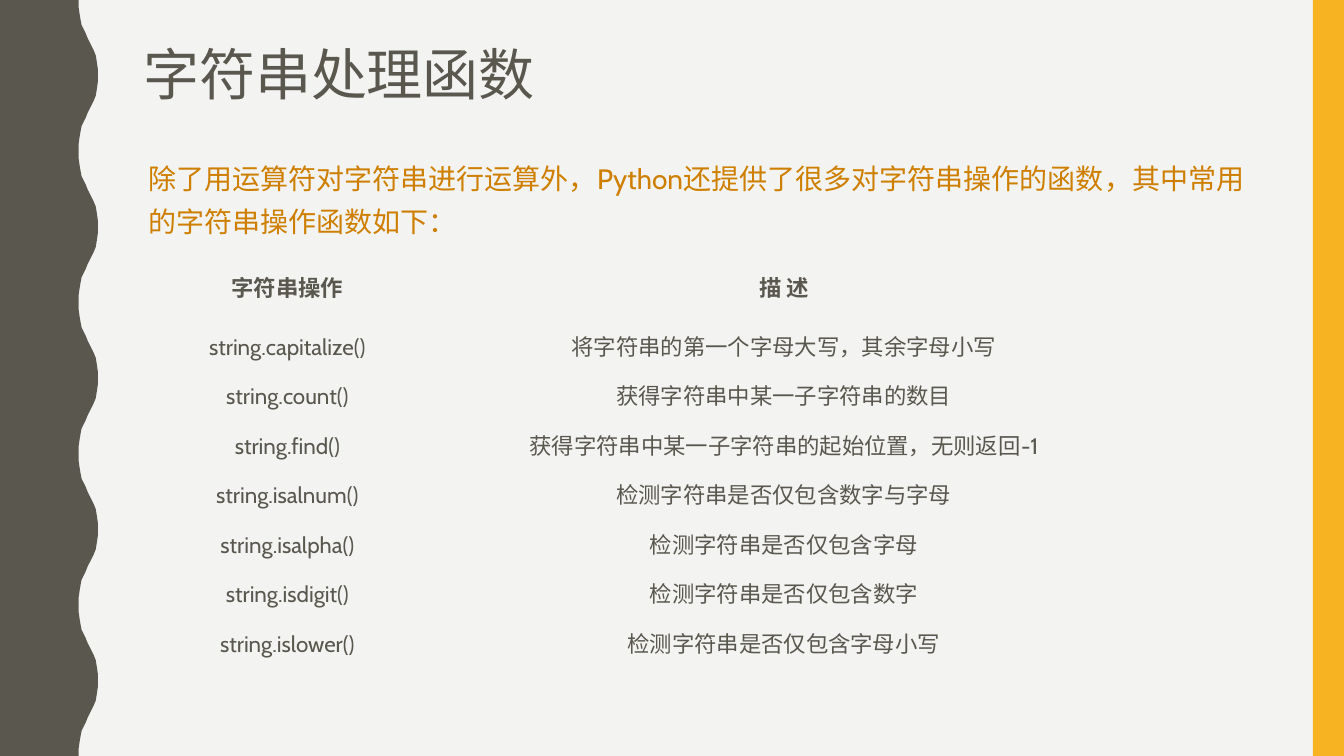
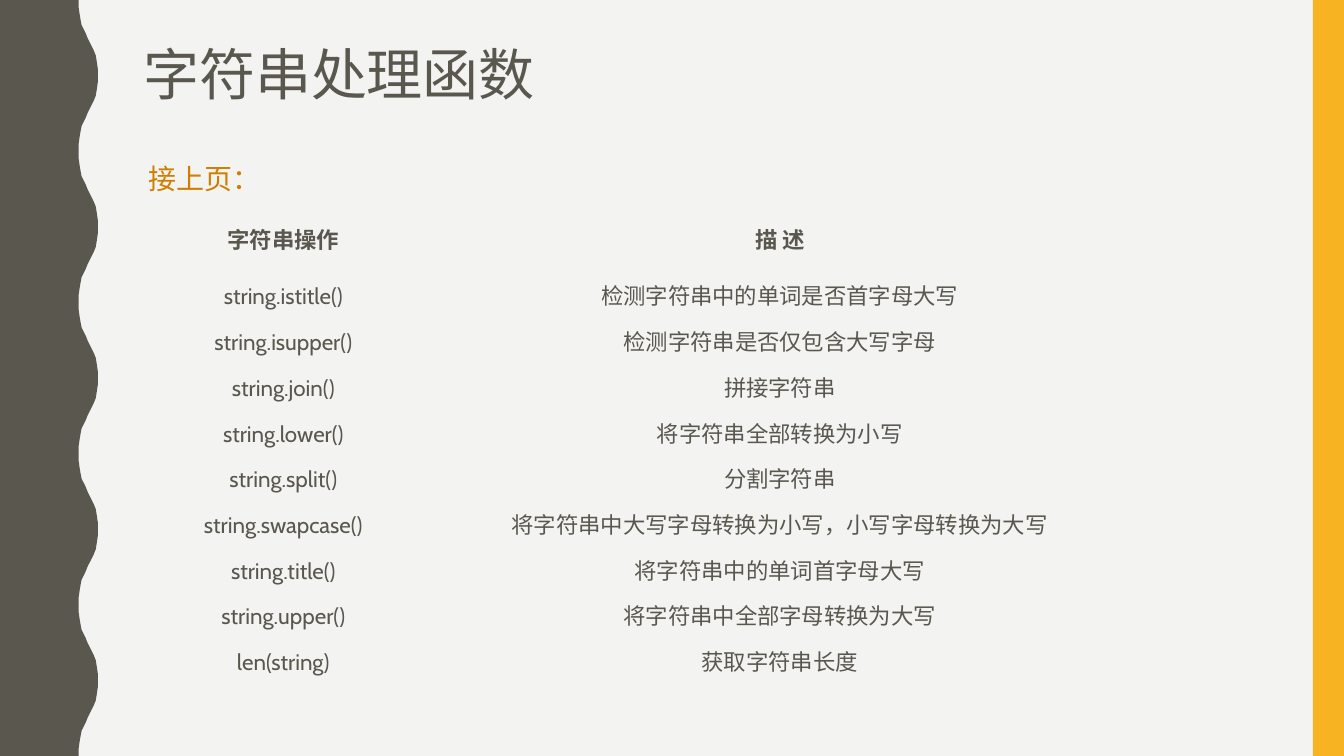
from lxml import etree
from pptx import Presentation
from pptx.dml.color import RGBColor
from pptx.enum.shapes import MSO_SHAPE
from pptx.enum.text import MSO_ANCHOR, MSO_AUTO_SIZE, PP_ALIGN
from pptx.oxml.ns import qn
from pptx.util import Inches, Pt

RECTANGLE = MSO_SHAPE.RECTANGLE
TOP, MIDDLE = MSO_ANCHOR.TOP, MSO_ANCHOR.MIDDLE
LEFT, CENTER = PP_ALIGN.LEFT, PP_ALIGN.CENTER
NO_AUTOFIT = MSO_AUTO_SIZE.NONE

COLORS = {
    "background": "F3F3F2",
    "dark": "59574E",
    "gold": "F8B323",
    "intro": "CE7F00",
}
NO_GRID_STYLE = "{2D5ABB26-0587-4C30-8999-92F81FD0307C}"

# Text formats: colour, font values and paragraph values
TITLE = {
    "color": "dark",
    "font": {"size": Pt(40), "bold": False, "name": "Noto Sans CJK SC"},
    "paragraph": {"alignment": LEFT, "line_spacing": 0.9},
}
INTRO = {
    "color": "intro",
    "font": {"size": Pt(20), "bold": False, "name": "Cabin"},
    "paragraph": {"alignment": LEFT, "line_spacing": 1.3, "space_before": Pt(7)},
}
CELL = {
    "color": "dark",
    "font": {"size": Pt(16), "bold": False, "name": "Cabin"},
    "paragraph": {"alignment": CENTER},
}
HEADING = {**CELL, "font": {**CELL["font"], "bold": True}}
CELL_LAYOUT = {
    "vertical_anchor": MIDDLE,
    "margin_left": Inches(0.05),
    "margin_right": Inches(0.05),
    "margin_top": Inches(0.02),
    "margin_bottom": Inches(0.02),
}

# Content
HEADINGS = ("字符串操作", "描 述")
COLUMN_WIDTHS = (2.52, 7.33)
PAGES = [
    {
        "intro": "除了用运算符对字符串进行运算外，Python还提供了很多对字符串操作的函数，其中常用的字符串操作函数如下：",
        "left": 1.59, "top": 2.53, "height": 4.11, "heading_height": 0.67,
        "functions": [
            ("string.capitalize()", "将字符串的第一个字母大写，其余字母小写"),
            ("string.count()", "获得字符串中某一子字符串的数目"),
            ("string.find()", "获得字符串中某一子字符串的起始位置，无则返回-1"),
            ("string.isalnum()", "检测字符串是否仅包含数字与字母"),
            ("string.isalpha()", "检测字符串是否仅包含字母"),
            ("string.isdigit()", "检测字符串是否仅包含数字"),
            ("string.islower()", "检测字符串是否仅包含字母小写"),
        ],
    },
    {
        "intro": "接上页：",
        "left": 1.55, "top": 2.06, "height": 4.74, "heading_height": 0.66,
        "functions": [
            ("string.istitle()", "检测字符串中的单词是否首字母大写"),
            ("string.isupper()", "检测字符串是否仅包含大写字母"),
            ("string.join()", "拼接字符串"),
            ("string.lower()", "将字符串全部转换为小写"),
            ("string.split()", "分割字符串"),
            ("string.swapcase()", "将字符串中大写字母转换为小写，小写字母转换为大写"),
            ("string.title()", "将字符串中的单词首字母大写"),
            ("string.upper()", "将字符串中全部字母转换为大写"),
            ("len(string)", "获取字符串长度"),
        ],
    },
]

# Left band: half a wave, mirrored and repeated down the slide
WAVE_LENGTH, WAVE_COUNT = 1.5, 5
HALF_WAVE = [
    (0.78, 0), (0.78, 0.07), (0.79, 0.14), (0.8, 0.2), (0.81, 0.25),
    (0.83, 0.29), (0.85, 0.33), (0.87, 0.38), (0.89, 0.42), (0.91, 0.46),
    (0.93, 0.5), (0.95, 0.55), (0.96, 0.61), (0.97, 0.68), (0.97, 0.75),
]
WAVE = HALF_WAVE + [(x, WAVE_LENGTH - y) for x, y in HALF_WAVE[-2::-1]]


def write(frame, text, style):
    paragraph = frame.paragraphs[0]
    for name, value in style["paragraph"].items():
        setattr(paragraph, name, value)
    run = paragraph.add_run()
    run.text = text
    run.font.color.rgb = RGBColor.from_string(COLORS[style["color"]])
    for name, value in style["font"].items():
        setattr(run.font, name, value)
    # East Asian text uses the same font
    east_asian = etree.SubElement(run.font._element, qn("a:ea"))
    east_asian.set("typeface", style["font"]["name"])
    return paragraph


def paint(shape, color):
    shape.shadow.inherit = False
    shape.fill.solid()
    shape.fill.fore_color.rgb = RGBColor.from_string(COLORS[color])
    shape.line.fill.background()


prs = Presentation()
prs.slide_width, prs.slide_height = Inches(13.33), Inches(7.5)
master = prs.slide_master
layout = prs.slide_layouts[1]

# Shared background and placeholder places
master.background.fill.solid()
master.background.fill.fore_color.rgb = RGBColor.from_string(COLORS["background"])
PLACES = [(1.32, 0.42, 11.91, 1.78), (1.37, 1.45, 11.13, 5.46)]
for idx, place in enumerate(PLACES):
    holder = next(p for p in layout.placeholders if p.placeholder_format.idx == idx)
    holder.left, holder.top, holder.width, holder.height = map(Inches, place)

slides = [prs.slides.add_slide(layout) for page in PAGES]

# Shared side bands, drawn once and moved to the master
canvas = slides[0].shapes
outline = canvas.build_freeform(0, 0)
outline.add_line_segments(
    [(Inches(x), Inches(y + wave * WAVE_LENGTH)) for wave in range(WAVE_COUNT) for x, y in WAVE]
    + [(0, Inches(7.5))], close=True)
wave_band = outline.convert_to_shape()
gold_band = canvas.add_shape(RECTANGLE, Inches(13.02), 0, Inches(0.31), Inches(7.5))
for number, (band, color) in enumerate([(wave_band, "dark"), (gold_band, "gold")]):
    paint(band, color)
    band.element.nvSpPr.cNvPr.set("id", str(101 + number))
    master.shapes.element.insert(2 + number, band.element)

for slide, page in zip(slides, PAGES):
    # Title and introduction
    title, intro = slide.shapes.title, slide.placeholders[1]
    for holder in (title, intro):
        holder.text_frame.vertical_anchor = TOP
        holder.text_frame.auto_size = NO_AUTOFIT
    write(title.text_frame, "字符串处理函数", TITLE)
    properties = write(intro.text_frame, page["intro"], INTRO)._p.get_or_add_pPr()
    properties.set("marL", "0")
    properties.set("indent", "0")
    etree.SubElement(properties, qn("a:buNone"))

    # Function table
    rows = [HEADINGS] + page["functions"]
    table_frame = slide.shapes.add_table(
        len(rows), len(HEADINGS), Inches(page["left"]), Inches(page["top"]),
        Inches(sum(COLUMN_WIDTHS)), Inches(page["height"]))
    next(table_frame.element.iter(qn("a:tableStyleId"))).text = NO_GRID_STYLE
    table = table_frame.table
    table.horz_banding = False
    for column, width in zip(table.columns, COLUMN_WIDTHS):
        column.width = Inches(width)
    row_height = (page["height"] - page["heading_height"]) / len(page["functions"])
    for r, texts in enumerate(rows):
        table.rows[r].height = Inches(row_height if r else page["heading_height"])
        for c, text in enumerate(texts):
            cell = table.cell(r, c)
            cell.fill.background()
            for name, value in CELL_LAYOUT.items():
                setattr(cell, name, value)
            write(cell.text_frame, text, CELL if r else HEADING)

prs.save("out.pptx")
